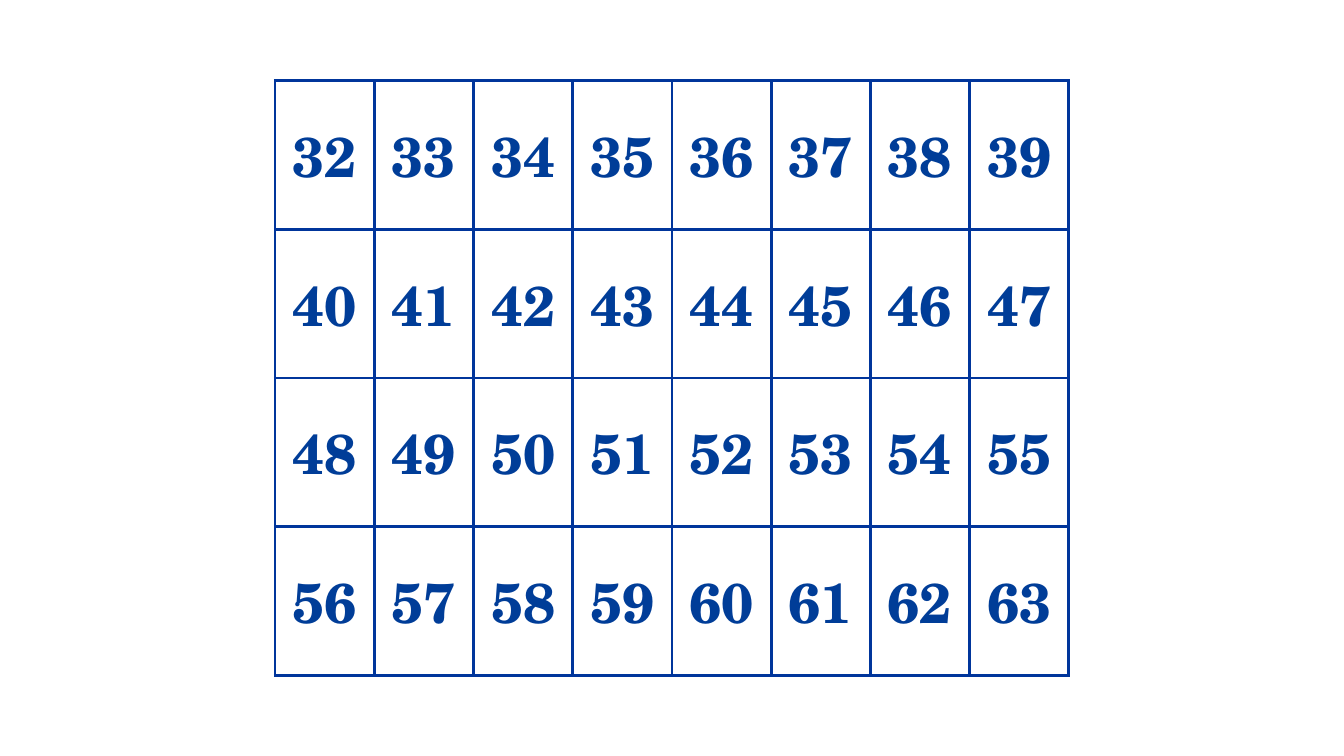
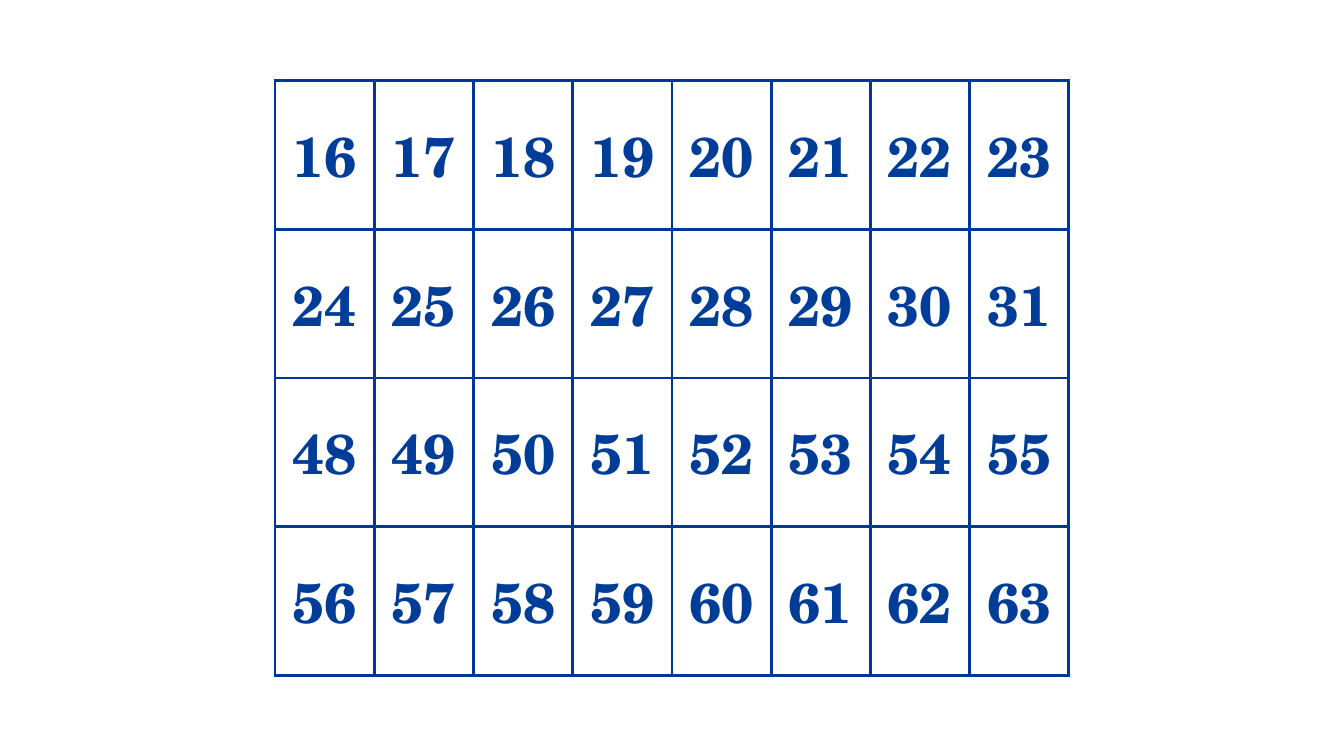
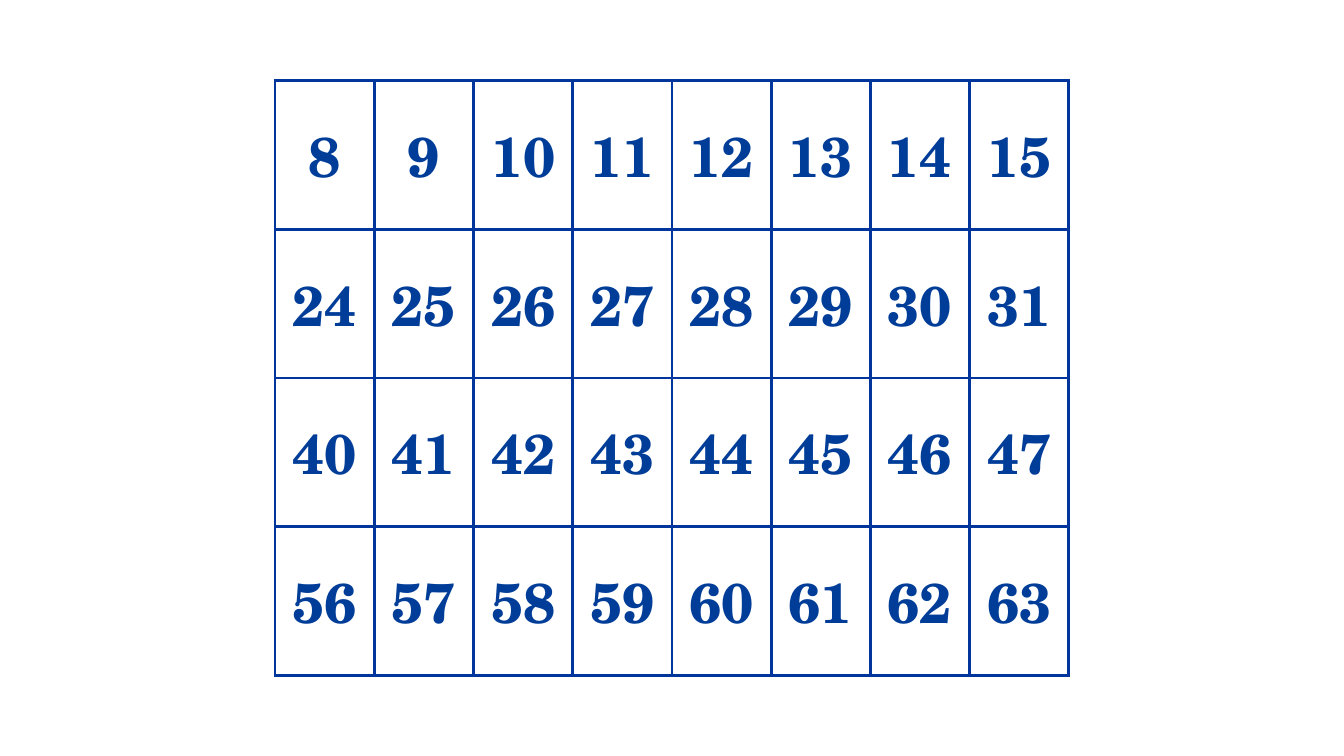
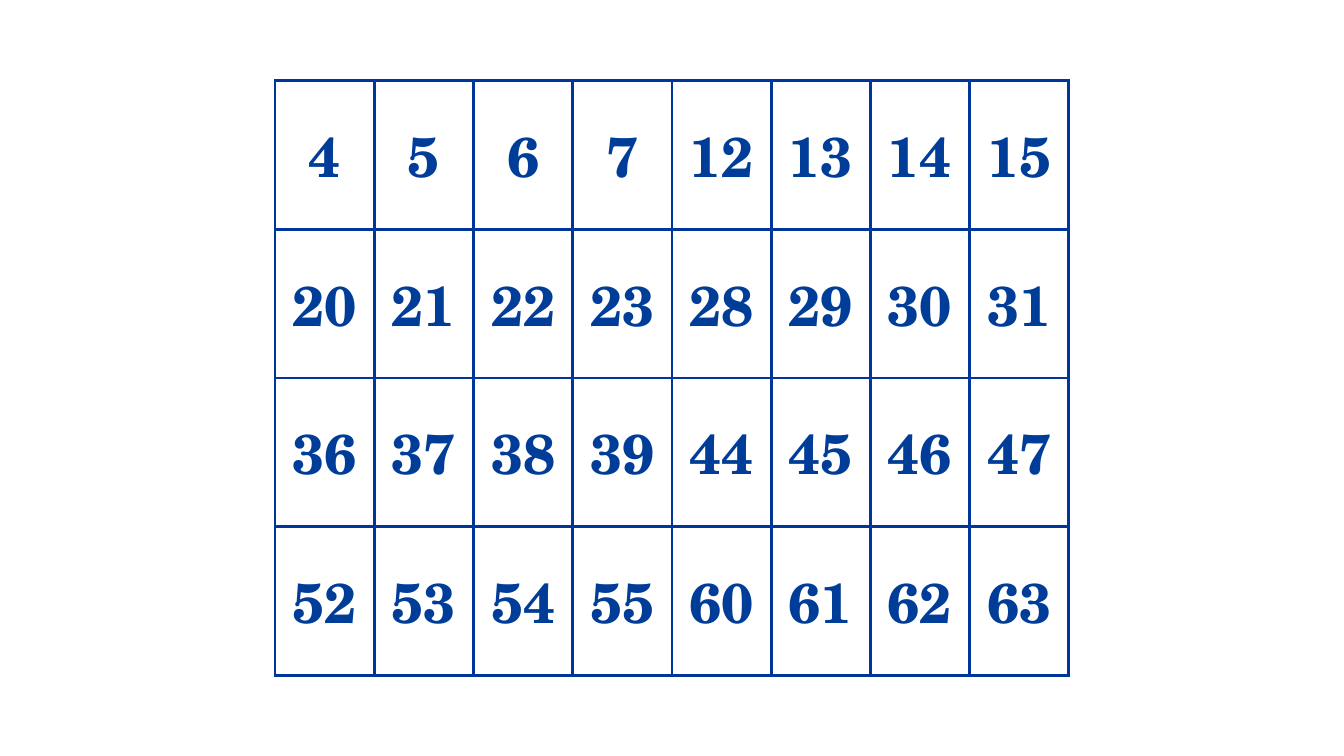
from dataclasses import dataclass

from lxml.etree import SubElement
from pptx import Presentation
from pptx.dml.color import RGBColor
from pptx.enum.text import MSO_ANCHOR, PP_ALIGN
from pptx.oxml.ns import qn
from pptx.slide import Slide
from pptx.table import _Cell
from pptx.util import Pt


@dataclass(frozen=True)
class Theme:
    ink: str = "003D98"
    rule: str = "00359B"
    font: str = "TeX Gyre Schola"
    size: float = 40
    line: float = 2.25
    inset: float = 7.2


@dataclass(frozen=True)
class Grid:
    rows: int = 4
    cols: int = 8
    cell_w: float = 70.87
    cell_h: float = 106.3

    @property
    def width(self) -> float:
        return self.cols * self.cell_w

    @property
    def height(self) -> float:
        return self.rows * self.cell_h


@dataclass(frozen=True)
class Card:
    bit: int

    def values(self) -> list[int]:
        """List the numbers below 64 whose binary form contains this bit."""
        return [n for n in range(64) if n & self.bit]


THEME = Theme()
GRID = Grid()
CARDS = [Card(bit) for bit in (32, 16, 8, 4)]
PAGE_W, PAGE_H = 960, 540


def put_text(cell: _Cell, text: str, *, size: float = THEME.size,
             color: str = THEME.ink, bold: bool = True,
             align: PP_ALIGN = PP_ALIGN.CENTER) -> None:
    para = cell.text_frame.paragraphs[0]
    para.alignment = align
    run = para.add_run()
    run.text = text
    font = run.font
    font.name, font.size, font.bold = THEME.font, Pt(size), bold
    font.color.rgb = RGBColor.from_string(color)


def add_rules(cell: _Cell) -> None:
    """Draw the four borders of a cell; they must come before its fill."""
    props = cell._tc.get_or_add_tcPr()
    for index, side in enumerate(("lnL", "lnR", "lnT", "lnB")):
        line = SubElement(props, qn(f"a:{side}"), w=str(Pt(THEME.line)))
        fill = SubElement(line, qn("a:solidFill"))
        SubElement(fill, qn("a:srgbClr"), val=THEME.rule)
        props.insert(index, line)


def style_cell(cell: _Cell) -> None:
    cell.fill.background()
    cell.vertical_anchor = MSO_ANCHOR.MIDDLE
    cell.margin_left = cell.margin_right = Pt(THEME.inset)
    cell.margin_top = cell.margin_bottom = Pt(THEME.inset)
    add_rules(cell)


def draw_card(slide: Slide, card: Card) -> None:
    left, top = (PAGE_W - GRID.width) / 2, (PAGE_H - GRID.height) / 2
    table = slide.shapes.add_table(
        GRID.rows, GRID.cols, Pt(left), Pt(top), Pt(GRID.width), Pt(GRID.height)
    ).table
    table.first_row = table.horz_banding = False
    for col in table.columns:
        col.width = Pt(GRID.cell_w)
    for row in table.rows:
        row.height = Pt(GRID.cell_h)
    for cell, value in zip(table.iter_cells(), card.values()):
        style_cell(cell)
        put_text(cell, str(value))


def main() -> None:
    deck = Presentation()
    deck.slide_width, deck.slide_height = Pt(PAGE_W), Pt(PAGE_H)
    blank = deck.slide_layouts.get_by_name("Blank")
    for card in CARDS:
        draw_card(deck.slides.add_slide(blank), card)
    deck.save("out.pptx")


if __name__ == "__main__":
    main()
